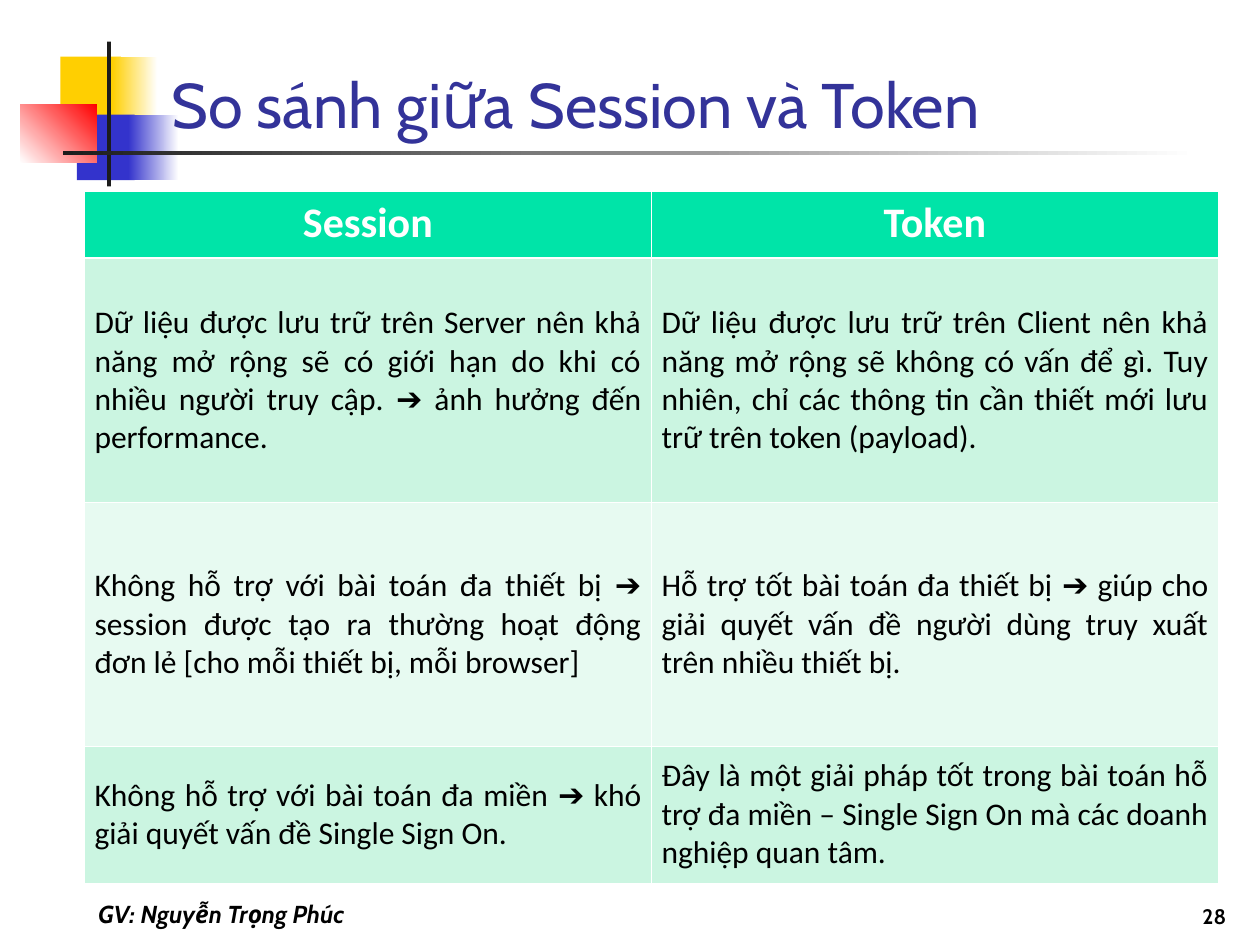
"""Build a slide that compares Session and Token in a two-column table."""
from dataclasses import dataclass

from lxml import etree
from pptx import Presentation
from pptx.dml.color import RGBColor
from pptx.enum.shapes import MSO_SHAPE
from pptx.enum.text import MSO_ANCHOR, PP_ALIGN
from pptx.oxml.ns import qn
from pptx.util import Inches, Pt

RECTANGLE = MSO_SHAPE.RECTANGLE
TOP, MIDDLE, BOTTOM = MSO_ANCHOR.TOP, MSO_ANCHOR.MIDDLE, MSO_ANCHOR.BOTTOM
LEFT, CENTER, RIGHT, JUSTIFY = PP_ALIGN.LEFT, PP_ALIGN.CENTER, PP_ALIGN.RIGHT, PP_ALIGN.JUSTIFY
TITLE_ONLY = 5
ARROW = "➔"
THIN, THICK = 0.45, 1.47

COLORS = {
    "white": "FFFFFF", "black": "000000", "yellow": "FFCF01", "blue": "3333CC",
    "red": "FF0000", "dark": "1C1C1C", "title": "333399",
    "header": "00E4A8", "band": "CBF5E1", "light": "E7FAF1",
}


@dataclass(frozen=True)
class Block:
    left: float
    top: float
    width: float
    height: float
    color: str
    fade_to: str = ""
    angle: float = 0


@dataclass(frozen=True)
class Style:
    font: str
    size: float
    color: str
    align: PP_ALIGN
    bold: bool = False
    italic: bool = False


@dataclass(frozen=True)
class Note:
    text: str
    left: float
    width: float
    style: Style


BLOCKS = [
    Block(0.48, 0.45, 0.48, 0.52, "yellow"),
    Block(0.89, 0.45, 0.36, 0.52, "yellow", "white"),
    Block(0.61, 0.91, 0.46, 0.52, "blue"),
    Block(1.02, 0.91, 0.4, 0.52, "blue", "white"),
    Block(0.16, 0.83, 0.61, 0.46, "white", "red", 45),
    Block(0.85, 0.33, 0.03, 1.15, "dark"),
    Block(0.5, 1.2, 9, 0.03, "dark", "white"),
]
TITLE_STYLE = Style("Cabin", 36, "title", LEFT)
HEADER_STYLE = Style("Calibri", 24, "white", CENTER, bold=True)
BODY_STYLE = Style("Calibri", 18, "black", JUSTIFY)
NOTES = [
    Note("GV: Nguyễn Trọng Phúc", 0.17, 3.17,
         Style("Cabin", 14, "black", CENTER, bold=True, italic=True)),
    Note("28", 7.75, 2.08, Style("Cabin", 12, "black", RIGHT, bold=True)),
]
ROW_HEIGHTS = [0.53, 1.94, 1.93, 1.09]
ROWS = [
    ("Session", "Token"),
    ("Dữ liệu được lưu trữ trên Server nên khả năng mở rộng sẽ có giới hạn do khi có "
     "nhiều người truy cập. ➔ ảnh hưởng đến performance.",
     "Dữ liệu được lưu trữ trên Client nên khả năng mở rộng sẽ không có vấn để gì. Tuy "
     "nhiên, chỉ các thông tin cần thiết mới lưu trữ trên token (payload)."),
    ("Không hỗ trợ với bài toán đa thiết bị ➔ session được tạo ra thường hoạt động "
     "đơn lẻ [cho mỗi thiết bị, mỗi browser]",
     "Hỗ trợ tốt bài toán đa thiết bị ➔ giúp cho giải quyết vấn đề người dùng truy xuất "
     "trên nhiều thiết bị."),
    ("Không hỗ trợ với bài toán đa miền ➔ khó giải quyết vấn đề Single Sign On.",
     "Đây là một giải pháp tốt trong bài toán hỗ trợ đa miền – Single Sign On mà các "
     "doanh nghiệp quan tâm."),
]


def rgb(name: str) -> RGBColor:
    """Return the named colour."""
    return RGBColor.from_string(COLORS[name])


def write(frame, text: str, style: Style) -> None:
    """Write one styled paragraph, with any arrow in Arial."""
    para = frame.paragraphs[0]
    para.alignment = style.align
    font = para.font
    font.name, font.size = style.font, Pt(style.size)
    font.bold, font.italic = style.bold, style.italic
    font.color.rgb = rgb(style.color)
    for part in filter(None, text.partition(ARROW)):
        span = para.add_run()
        span.text = part
        if part == ARROW:
            span.font.name = "Arial"


def draw_block(page, block: Block) -> None:
    """Draw a borderless rectangle, solid or fading."""
    shape = page.shapes.add_shape(
        RECTANGLE, *map(Inches, (block.left, block.top, block.width, block.height)))
    shape.shadow.inherit = False
    shape.line.fill.background()
    if not block.fade_to:
        shape.fill.solid()
        shape.fill.fore_color.rgb = rgb(block.color)
        return
    shape.fill.gradient()
    shape.fill.gradient_angle = block.angle
    for stop, name, position in zip(
            shape.fill.gradient_stops, (block.color, block.fade_to), (0, 1)):
        stop.color.rgb = rgb(name)
        stop.position = position


def draw_title(page) -> None:
    """Place the title in front of the decoration."""
    title = page.shapes.title
    title.left, title.top, title.width, title.height = map(Inches, (1.26, 0.42, 8.52, 0.75))
    page.shapes._spTree.append(title._element)
    title.text_frame.vertical_anchor = BOTTOM
    write(title.text_frame, "So sánh giữa Session và Token", TITLE_STYLE)


def draw_note(page, note: Note) -> None:
    """Draw a text box at the foot of the slide."""
    box = page.shapes.add_textbox(
        Inches(note.left), Inches(6.92), Inches(note.width), Inches(0.5))
    box.text_frame.word_wrap = True
    box.text_frame.vertical_anchor = BOTTOM
    write(box.text_frame, note.text, note.style)


def set_borders(cell, top: float, bottom: float) -> None:
    """Give a cell white borders with the given top and bottom widths."""
    properties = cell._tc.get_or_add_tcPr()
    for side, width in (("L", THIN), ("R", THIN), ("T", top), ("B", bottom)):
        line = etree.SubElement(properties, qn(f"a:ln{side}"), w=str(Pt(width)))
        fill = etree.SubElement(line, qn("a:solidFill"))
        etree.SubElement(fill, qn("a:srgbClr"), val=COLORS["white"])


def draw_table(page) -> None:
    """Draw the comparison table."""
    table = page.shapes.add_table(
        len(ROWS), 2, Inches(0.67), Inches(1.52), Inches(9), Inches(sum(ROW_HEIGHTS))).table
    for index, (texts, height) in enumerate(zip(ROWS, ROW_HEIGHTS)):
        table.rows[index].height = Inches(height)
        is_header = index == 0
        color = "header" if is_header else "band" if index % 2 else "light"
        for column, text in enumerate(texts):
            cell = table.cell(index, column)
            cell.vertical_anchor = TOP if is_header else MIDDLE
            cell.margin_left = cell.margin_right = Inches(0.1 if is_header else 0.08)
            set_borders(cell, THICK if index == 1 else THIN, THICK if is_header else THIN)
            cell.fill.solid()
            cell.fill.fore_color.rgb = rgb(color)
            write(cell.text_frame, text, HEADER_STYLE if is_header else BODY_STYLE)


def main() -> None:
    """Build and save the deck."""
    deck = Presentation()
    deck.slide_width, deck.slide_height = Inches(10), Inches(7.5)
    page = deck.slides.add_slide(deck.slide_layouts[TITLE_ONLY])
    for block in BLOCKS:
        draw_block(page, block)
    draw_title(page)
    for note in NOTES:
        draw_note(page, note)
    draw_table(page)
    deck.save("out.pptx")


if __name__ == "__main__":
    main()
